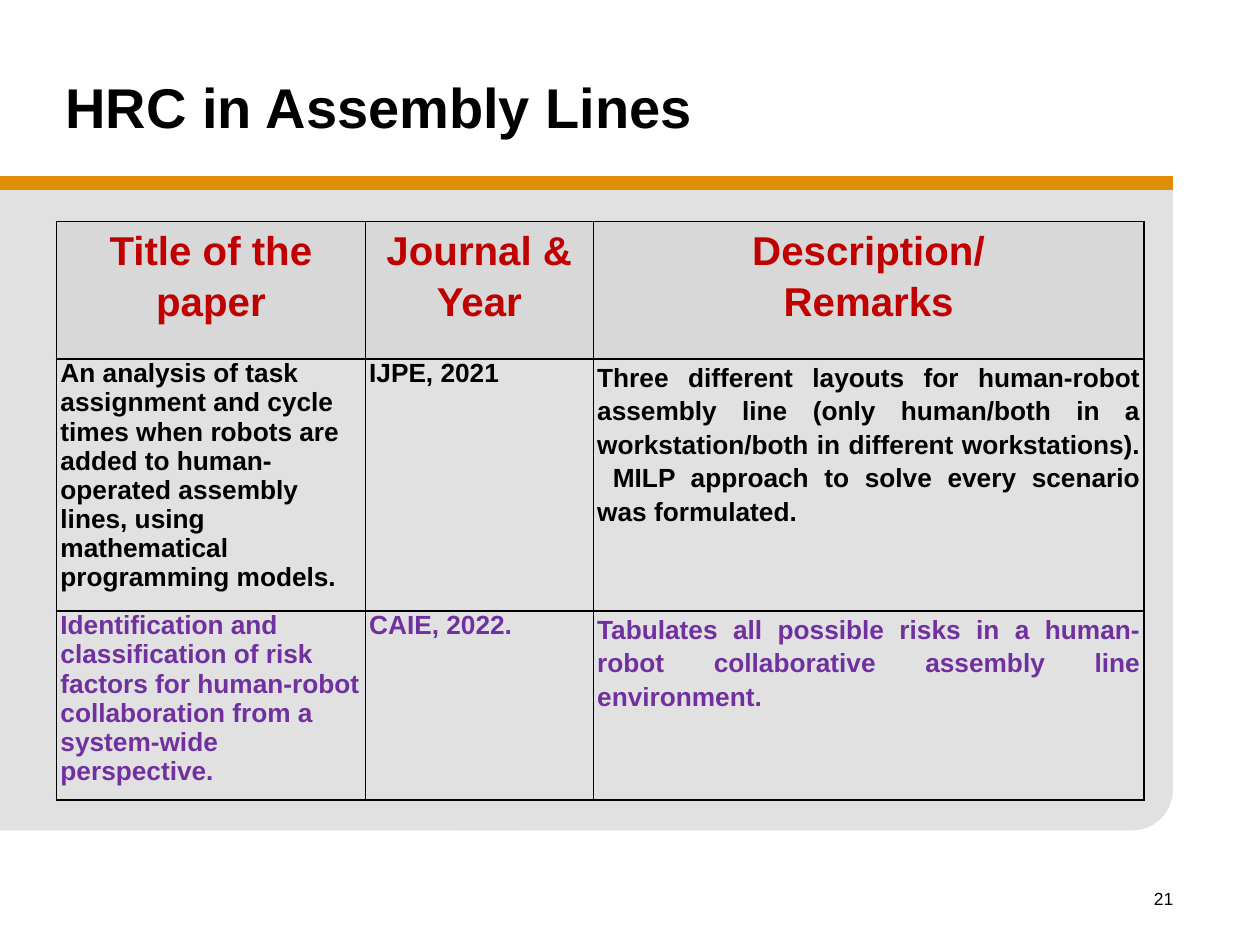
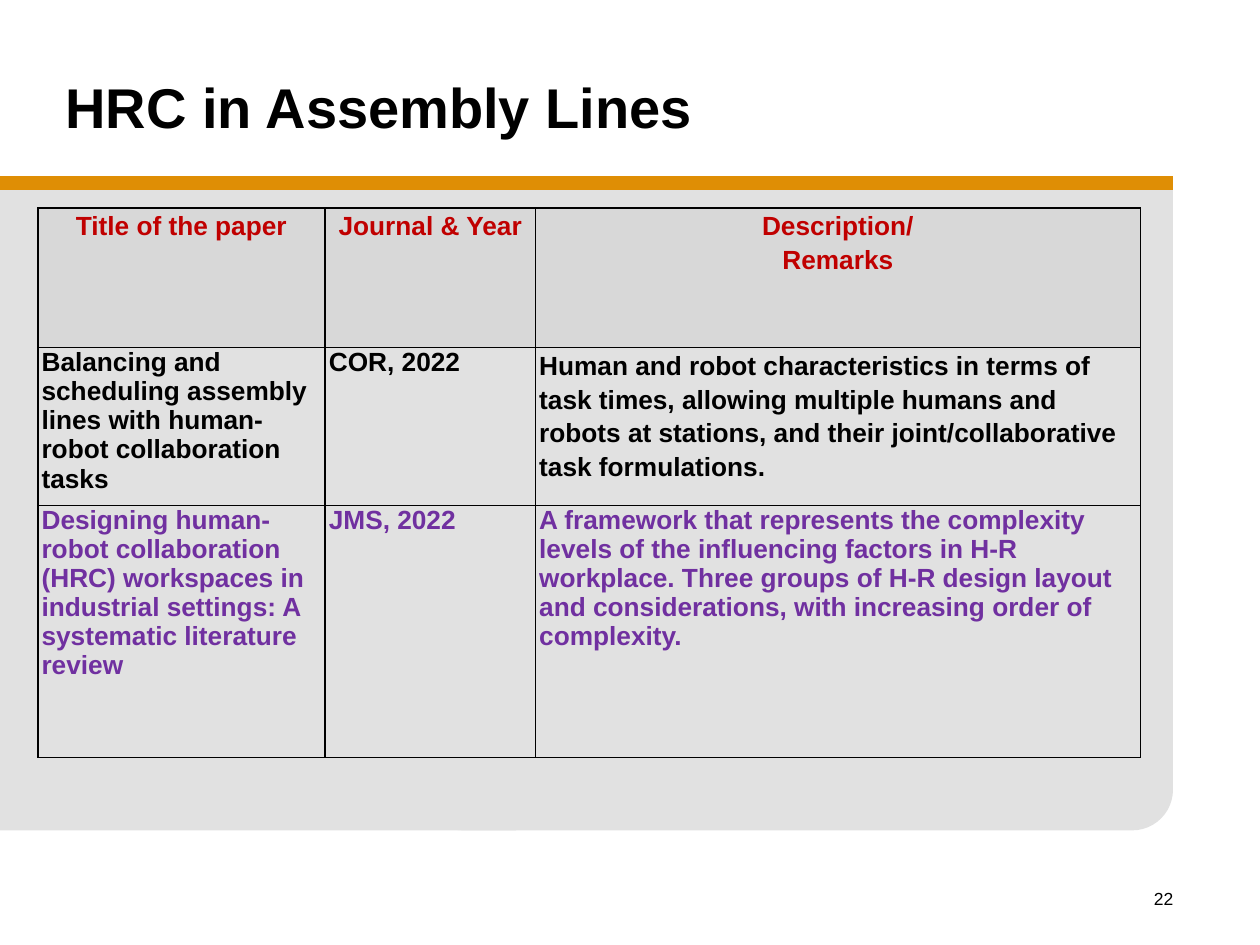
from lxml import etree
from pptx import Presentation
from pptx.dml.color import RGBColor
from pptx.enum.shapes import MSO_CONNECTOR, MSO_SHAPE
from pptx.enum.text import MSO_ANCHOR, MSO_AUTO_SIZE, PP_ALIGN
from pptx.oxml.ns import qn
from pptx.util import Inches, Pt

RECT, ROUND = MSO_SHAPE.RECTANGLE, MSO_SHAPE.ROUNDED_RECTANGLE
LEFT, RIGHT = PP_ALIGN.LEFT, PP_ALIGN.RIGHT
CENTER, JUSTIFY = PP_ALIGN.CENTER, PP_ALIGN.JUSTIFY
STRAIGHT = MSO_CONNECTOR.STRAIGHT
TOP, MIDDLE = MSO_ANCHOR.TOP, MSO_ANCHOR.MIDDLE

FONT = "Arial"
BLACK, RED, PURPLE = "000000", "C00000", "7030A0"
PANEL, HEAD, BAND = "E1E1E1", "D8D8D8", "DF8E05"
LOOSE = 1.15

# The grid has 100 columns and 75 rows on a 10 by 7.5 inch slide.
WIDTH, HEIGHT = Inches(10), Inches(7.5)
COL, ROW = WIDTH // 100, HEIGHT // 75
EDGE = 93.1

TITLE = "HRC in Assembly Lines"
HEADS = ["Title of the paper", "Journal & Year", "Description/\nRemarks"]
INKS = [BLACK, PURPLE]

PAGES = [
    dict(
        number=21, box=(4.5, 17.6), cols=[24.5, 18.1, 43.7],
        rows=[10.9, 20, 15], size=23,
        notes=[dict(align=JUSTIFY, spacing=LOOSE)] * 2,
        papers=[
            ["An analysis of task assignment and cycle times when robots are "
             "added to human-operated assembly lines, using mathematical "
             "programming models.",
             "IJPE, 2021",
             "Three different layouts for human-robot assembly line (only "
             "human/both in a workstation/both in different workstations).  "
             "MILP approach to solve every scenario was formulated."],
            ["Identification and classification of risk factors for "
             "human-robot collaboration from a system-wide perspective.",
             "CAIE, 2022.",
             "Tabulates all possible risks in a human-robot collaborative "
             "assembly line environment."],
        ],
    ),
    dict(
        number=22, box=(3, 16.5), cols=[22.8, 16.7, 48],
        rows=[11.1, 12.5, 20], size=15,
        notes=[dict(spacing=LOOSE), {}],
        papers=[
            ["Balancing and scheduling assembly lines with human-robot "
             "collaboration tasks",
             "COR, 2022",
             "Human and robot characteristics in terms of task times, "
             "allowing multiple humans and robots at stations, and their "
             "joint/collaborative task formulations."],
            ["Designing human-robot collaboration (HRC) workspaces in "
             "industrial settings: A systematic literature review",
             "JMS, 2022",
             "A framework that represents the complexity levels of the "
             "influencing factors in H-R workplace. Three groups of H-R "
             "design layout and considerations, with increasing order of "
             "complexity."],
        ],
    ),
]


def color(code):
    return RGBColor.from_string(code)


def place(x, y, w, h):
    """Turn grid columns and rows into slide lengths."""
    return round(x * COL), round(y * ROW), round(w * COL), round(h * ROW)


def write(frame, text, size=15, ink=BLACK, bold=True, align=LEFT,
          spacing=None, anchor=TOP):
    """Fill a frame, one paragraph for each line of text."""
    frame.word_wrap = True
    frame.vertical_anchor = anchor
    frame.text = text
    for para in frame.paragraphs:
        para.alignment = align
        para.line_spacing = spacing
        for run in para.runs:
            font = run.font
            font.name, font.size, font.bold = FONT, Pt(size), bold
            font.color.rgb = color(ink)


def draw_panel(slide, x, y, w, h):
    """Grey panel whose lower right corner alone is round."""
    parts = [(RECT, 0, 0, 1, 0.85), (ROUND, 0.36, 0.62, 0.64, 0.38),
             (RECT, 0, 0.25, 0.44, 0.75)]
    for kind, left, top, wide, high in parts:
        part = slide.shapes.add_shape(
            kind, *place(x + left * w, y + top * h, wide * w, high * h))
        part.shadow.inherit = False
        part.fill.solid()
        part.fill.fore_color.rgb = color(PANEL)
        part.line.fill.background()


def draw_band(slide, y, w):
    left, top, right, _ = place(0, y, w, 0)
    band = slide.shapes.add_connector(STRAIGHT, left, top, right, top)
    band.line.color.rgb = color(BAND)
    band.line.width = Pt(8)
    etree.SubElement(band.element.spPr, qn("a:effectLst"))


def draw_frame(slide, number):
    """Title, panel, band and page number, the same on each slide."""
    title = slide.shapes.title
    title.left, title.top, title.width, title.height = place(4.2, 1.7, 90, 13.5)
    write(title.text_frame, TITLE, size=32, anchor=MIDDLE)
    title.text_frame.auto_size = MSO_AUTO_SIZE.NONE
    draw_panel(slide, 0, 14.9, EDGE, 51)
    draw_band(slide, 14.5, EDGE)
    foot = slide.shapes.add_textbox(*place(EDGE - 19.8, 70, 20.8, 5))
    write(foot.text_frame, str(number), size=10, bold=False, align=RIGHT)


def add_edges(cell):
    props = cell._tc.get_or_add_tcPr()
    for side in "LRTB":
        edge = etree.SubElement(props, qn(f"a:ln{side}"), w=str(Pt(1)))
        fill = etree.SubElement(edge, qn("a:solidFill"))
        etree.SubElement(fill, qn("a:srgbClr"), val=BLACK)


def fill_cell(cell, text, back=None, **style):
    cell.margin_left = cell.margin_right = Inches(0.03)
    cell.margin_top = cell.margin_bottom = 0
    add_edges(cell)
    if back:
        cell.fill.solid()
        cell.fill.fore_color.rgb = color(back)
    else:
        cell.fill.background()
    write(cell.text_frame, text, **style)


def draw_table(slide, box, cols, rows, size, notes, papers):
    """Table of papers; notes holds the format of each last cell."""
    grid = slide.shapes.add_table(
        len(rows), len(cols), *place(*box, sum(cols), sum(rows))).table
    grid.horz_banding = False
    for col, wide in zip(grid.columns, cols):
        col.width = round(wide * COL)
    for row, high in zip(grid.rows, rows):
        row.height = round(high * ROW)
    for c, head in enumerate(HEADS):
        fill_cell(grid.cell(0, c), head, back=HEAD, size=size, ink=RED,
                  align=CENTER, spacing=LOOSE)
    for r, (paper, ink, note) in enumerate(zip(papers, INKS, notes), 1):
        for c, (text, style) in enumerate(zip(paper, [{}, {}, note])):
            fill_cell(grid.cell(r, c), text, ink=ink, **style)


def main():
    deck = Presentation()
    deck.slide_width, deck.slide_height = WIDTH, HEIGHT
    plain = deck.slide_layouts.get_by_name("Title Only")
    for page in PAGES:
        slide = deck.slides.add_slide(plain)
        number, *_ = page.values()
        draw_frame(slide, number)
        draw_table(slide, **{k: v for k, v in page.items() if k != "number"})
    deck.save("out.pptx")


if __name__ == "__main__":
    main()
